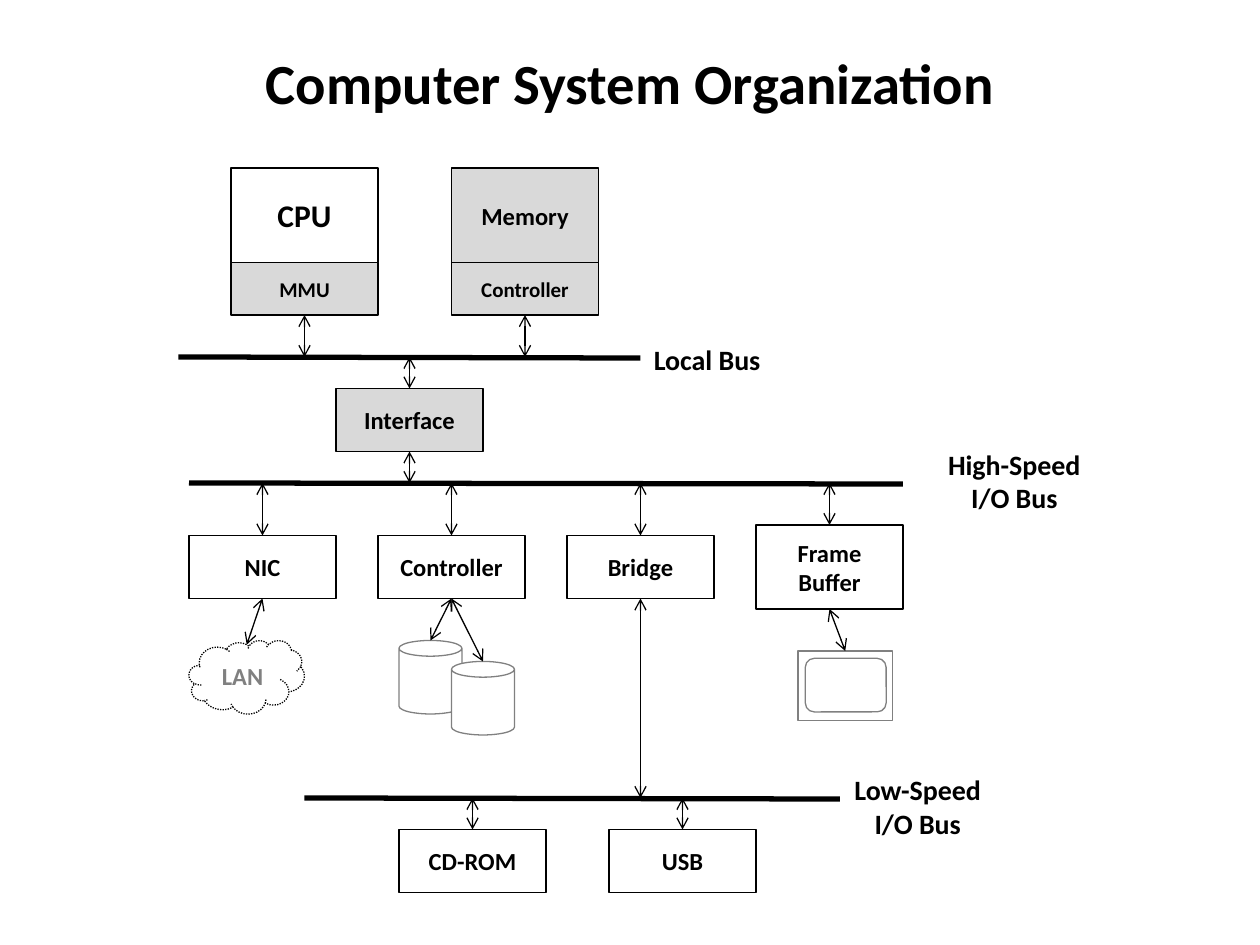
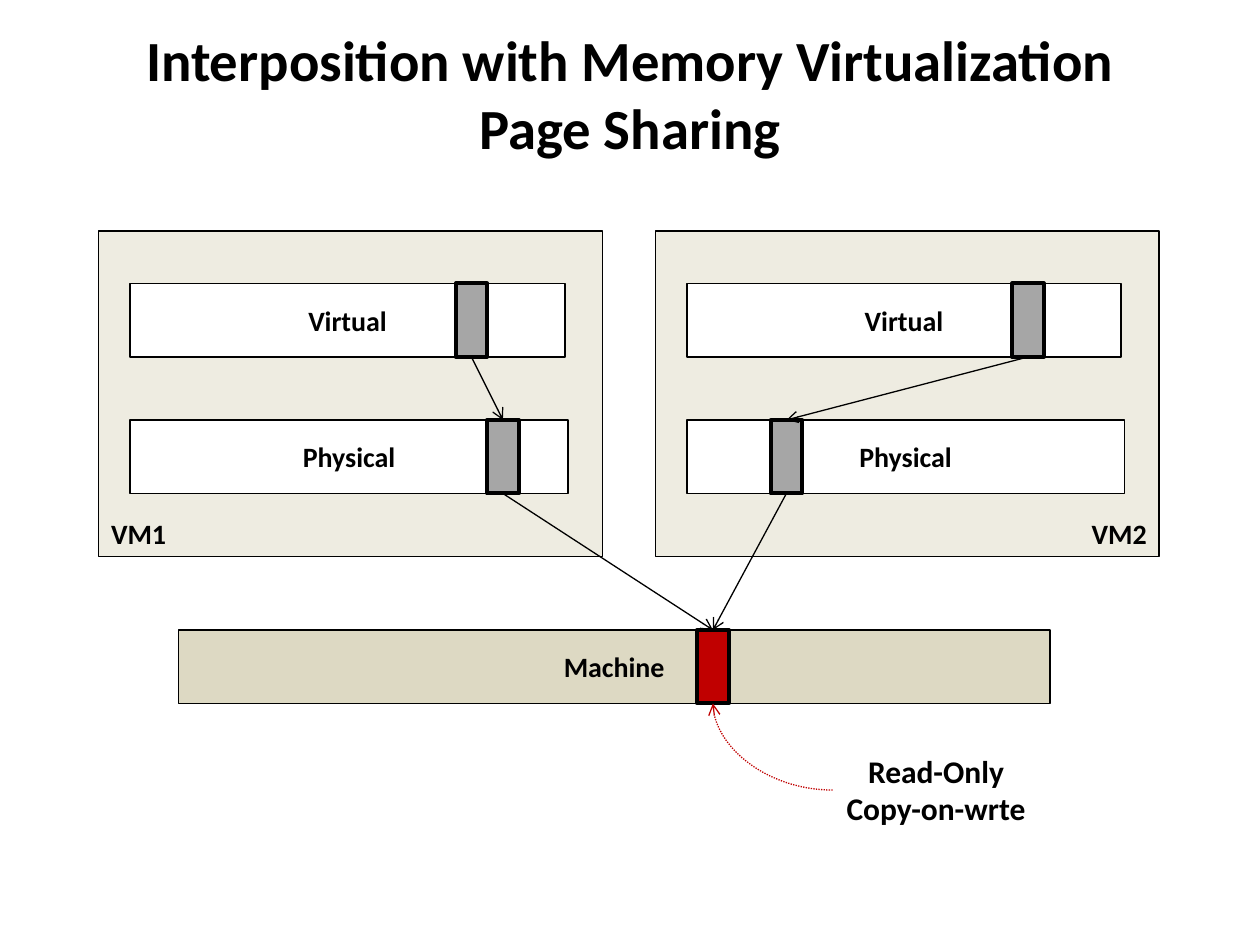
from lxml import etree
from pptx import Presentation
from pptx.dml.color import RGBColor
from pptx.enum.dml import MSO_LINE
from pptx.enum.shapes import MSO_CONNECTOR, MSO_SHAPE
from pptx.enum.text import MSO_ANCHOR, PP_ALIGN
from pptx.oxml.ns import qn
from pptx.util import Inches, Pt

RECT, ROUNDED = MSO_SHAPE.RECTANGLE, MSO_SHAPE.ROUNDED_RECTANGLE
CAN, CLOUD = MSO_SHAPE.CAN, MSO_SHAPE.CLOUD
STRAIGHT, CURVE = MSO_CONNECTOR.STRAIGHT, MSO_CONNECTOR.CURVE
DOTTED = MSO_LINE.ROUND_DOT
LEFT, CENTER, RIGHT = PP_ALIGN.LEFT, PP_ALIGN.CENTER, PP_ALIGN.RIGHT
TOP, MIDDLE, BOTTOM = MSO_ANCHOR.TOP, MSO_ANCHOR.MIDDLE, MSO_ANCHOR.BOTTOM

BLACK = RGBColor(0x00, 0x00, 0x00)
WHITE = RGBColor(0xFF, 0xFF, 0xFF)
GRAY = RGBColor(0x80, 0x80, 0x80)
LIGHT_GRAY = RGBColor(0xD9, 0xD9, 0xD9)
PAGE_GRAY = RGBColor(0xA6, 0xA6, 0xA6)
CREAM = RGBColor(0xEE, 0xEC, 0xE1)
TAN = RGBColor(0xDD, 0xD9, 0xC3)
RED = RGBColor(0xC0, 0x00, 0x00)

FONT = "Calibri"
COLS = 120  # square grid cells: 120 columns by 90 rows


def write(tf, text, size=14, color=BLACK, align=CENTER, anchor=MIDDLE, wrap=True):
    """Fill a text frame, one paragraph for each line of text."""
    tf.word_wrap = wrap
    tf.vertical_anchor = anchor
    for i, line in enumerate(text.split("\n")):
        p = tf.paragraphs[0] if i == 0 else tf.add_paragraph()
        p.alignment = align
        r = p.add_run()
        r.text = line
        r.font.name, r.font.size, r.font.bold = FONT, Pt(size), True
        r.font.color.rgb = color


class Deck:
    """Holds the presentation and the current slide; lengths are in grid cells."""

    def __init__(self):
        self.prs = Presentation()
        self.prs.slide_width, self.prs.slide_height = Inches(10), Inches(7.5)
        self.s = None

    def cells(self, *lengths):
        return [round(n * self.prs.slide_width / COLS) for n in lengths]

    def slide(self, title, title_rows):
        self.s = self.prs.slides.add_slide(self.prs.slide_layouts[6])
        self.label(6, 3.6, 108, title_rows, title, size=32.4, anchor=MIDDLE, wrap=True)

    def label(self, x, y, w, h, text, size=16, anchor=TOP, wrap=False):
        tb = self.s.shapes.add_textbox(*self.cells(x, y, w, h))
        write(tb.text_frame, text, size=size, anchor=anchor, wrap=wrap)

    def box(self, x, y, w, h, text="", kind=RECT, fill=WHITE, line=BLACK,
            width=0.75, dash=None, parent=None, **style):
        sp = (parent or self.s).shapes.add_shape(kind, *self.cells(x, y, w, h))
        sp.shadow.inherit = False
        sp.fill.solid()
        sp.fill.fore_color.rgb = fill
        sp.line.color.rgb, sp.line.width = line, Pt(width)
        if dash:
            sp.line.dash_style = dash
        if text:
            write(sp.text_frame, text, **style)

    def line(self, x1, y1, x2, y2, ends=(), kind=STRAIGHT, color=BLACK,
             width=0.75, dash=None):
        """Draw a connector; ends lists headEnd and tailEnd for arrowheads."""
        c = self.s.shapes.add_connector(kind, *self.cells(x1, y1, x2, y2))
        c.line.color.rgb, c.line.width = color, Pt(width)
        if dash:
            c.line.dash_style = dash
        for end in ends:
            etree.SubElement(c.line._get_or_add_ln(), qn(f"a:{end}"), type="arrow")
        sp_pr = c._element.spPr
        etree.SubElement(sp_pr, qn("a:effectLst"))
        if kind == CURVE:
            sp_pr.find(qn("a:prstGeom")).set("prst", "curvedConnector2")

    def arrow(self, x1, y1, x2, y2, **style):
        self.line(x1, y1, x2, y2, ends=("tailEnd",), **style)

    def double_arrow(self, x1, y1, x2, y2):
        self.line(x1, y1, x2, y2, ends=("headEnd", "tailEnd"))


def system_organization(d):
    d.slide("Computer System Organization", 8.4)
    box_w, box_h = 14, 6
    local, high, low = 34, 46, 76  # rows of the three buses

    chips = [(22, "CPU", 18, WHITE, "MMU"),
             (43, "Memory", 14, LIGHT_GRAY, "Controller")]
    for x, name, size, fill, unit in chips:
        d.box(x, 16, box_w, 9, name, fill=fill, size=size)
        d.box(x, 25, box_w, 5, unit, fill=LIGHT_GRAY, size=12)
        d.double_arrow(x + box_w / 2, 30, x + box_w / 2, local)

    for x1, x2, y in [(17, 61, local), (18, 86, high), (29, 80, low)]:
        d.line(x1, y, x2, y + 0.1, width=3)
    d.label(61, 32, 12.7, 4.4, "Local Bus")
    d.label(89, 42, 15.2, 7.7, "High-Speed\nI/O Bus")
    d.label(80, 73, 14.8, 7.7, "Low-Speed\nI/O Bus")

    d.box(32, 37, box_w, box_h, "Interface", fill=LIGHT_GRAY)
    d.double_arrow(39, local, 39, 37)
    d.double_arrow(39, 43, 39, high)

    devices = ["NIC", "Controller", "Bridge", "Frame Buffer"]
    for i, name in enumerate(devices):
        x, extra = 18 + 18 * i, 1 if name == "Frame Buffer" else 0
        d.box(x, 51 - extra, box_w, box_h + 2 * extra, name)
        d.double_arrow(x + box_w / 2, high, x + box_w / 2, 51 - extra)

    for x, y in [(38, 61), (43, 63)]:
        d.box(x, y, 6, 7, kind=CAN, line=GRAY)
        d.double_arrow(43, 57, x + 3, y)
    d.box(18, 61, 11, 7, "LAN", kind=CLOUD, dash=DOTTED, color=GRAY)
    d.double_arrow(25, 57, 23.5, 61.4)
    monitor = d.s.shapes.add_group_shape()
    d.box(76, 62, 9, 6.6, line=GRAY, parent=monitor)
    d.box(76.7, 62.7, 7.7, 5.1, kind=ROUNDED, line=GRAY, parent=monitor)
    d.double_arrow(79, 58, 80.5, 62)
    d.double_arrow(61, 57, 61, low)

    for x, name in [(38, "CD-ROM"), (58, "USB")]:
        d.box(x, 79, box_w, box_h, name)
        d.double_arrow(x + box_w / 2, 79, x + box_w / 2, low)


def page_sharing(d):
    d.slide("Interposition with Memory Virtualization\nPage Sharing", 10.4)
    bar_h, page_w = 7, 3
    half = page_w / 2
    virtual, physical, machine = 27, 40, 60  # top rows of the memory bars
    shared_x = 66.4

    def page(x, y, fill=PAGE_GRAY):
        d.box(x, y, page_w, bar_h, fill=fill, width=2.25)

    d.box(17, machine, 83, bar_h, "Machine", fill=TAN, width=1, size=16)
    page(shared_x, machine, RED)

    vms = [("VM1", 9.4, LEFT, 37), ("VM2", 62.4, RIGHT, 11)]
    for name, x, align, physical_offset in vms:
        d.box(x, 22, 48, 31, name, fill=CREAM, size=16, align=align, anchor=BOTTOM)
        d.box(x + 3, virtual, 41.4, bar_h, "Virtual", width=1, size=16)
        d.box(x + 3, physical, 41.7, bar_h, "Physical", width=1, size=16)
        virtual_x, physical_x = x + 34, x + physical_offset
        page(virtual_x, virtual)
        page(physical_x, physical)
        d.arrow(virtual_x + half, virtual + bar_h, physical_x + half, physical)
        d.arrow(physical_x + half, physical + bar_h, shared_x + half, machine)

    d.label(79.3, 71, 19.7, 8.5, "Read-Only\nCopy-on-wrte", size=18)
    d.arrow(79.3, 75.25, shared_x + half, machine + bar_h,
            kind=CURVE, color=RED, dash=DOTTED)


def main():
    d = Deck()
    system_organization(d)
    page_sharing(d)
    d.prs.save("out.pptx")


if __name__ == "__main__":
    main()
